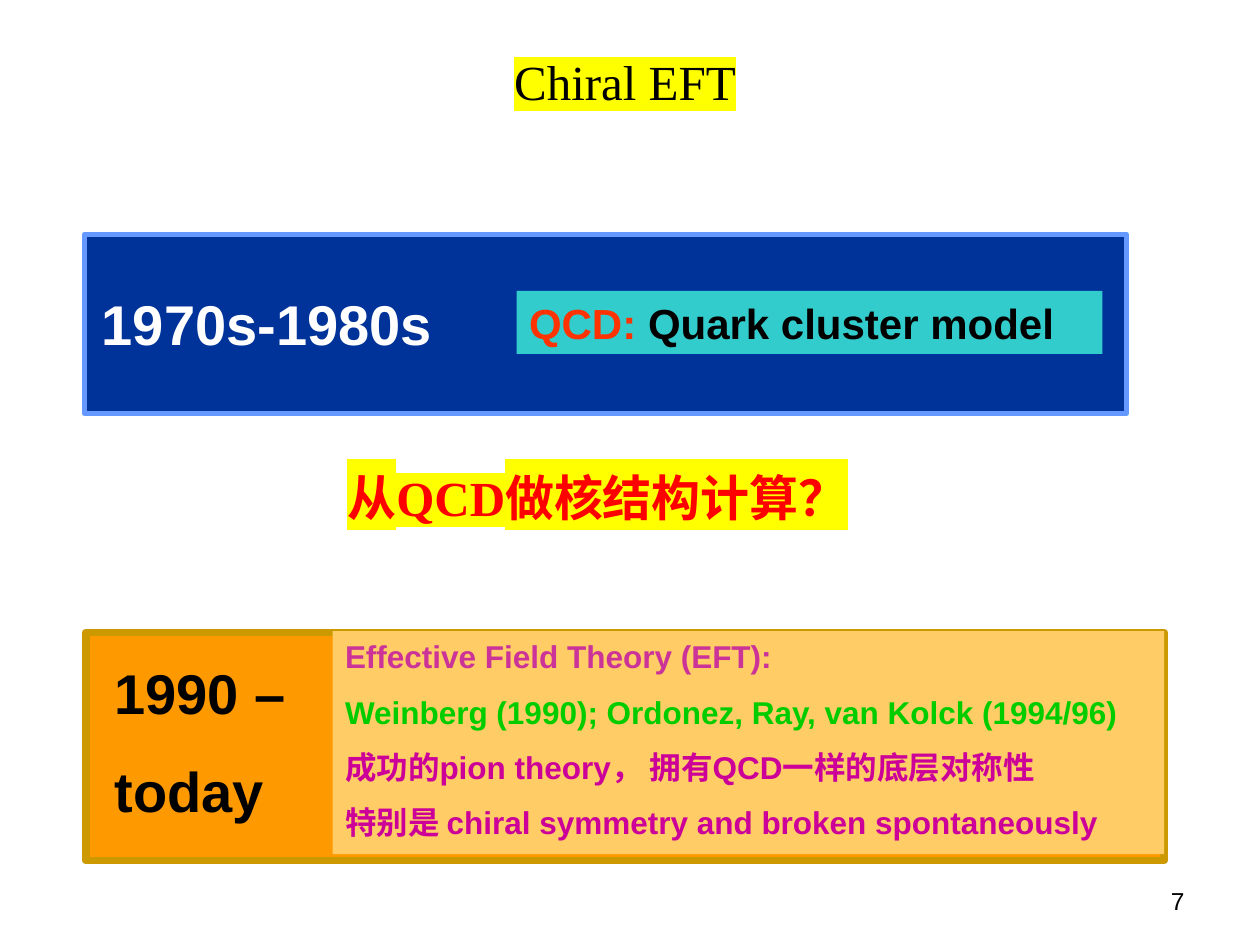
from dataclasses import dataclass
from typing import Optional

from lxml.etree import SubElement
from pptx import Presentation
from pptx.dml.color import RGBColor
from pptx.enum.shapes import MSO_SHAPE
from pptx.enum.text import MSO_ANCHOR, PP_ALIGN
from pptx.oxml.ns import qn
from pptx.util import Inches, Pt

BLACK = RGBColor(0x00, 0x00, 0x00)
WHITE = RGBColor(0xFF, 0xFF, 0xFF)
NAVY = RGBColor(0x00, 0x33, 0x99)
SKY = RGBColor(0x66, 0x99, 0xFF)
TEAL = RGBColor(0x33, 0xCC, 0xCC)
VERMILION = RGBColor(0xFF, 0x33, 0x00)
ORANGE = RGBColor(0xFF, 0x99, 0x00)
OCHRE = RGBColor(0xCC, 0x99, 0x00)
PEACH = RGBColor(0xFF, 0xCC, 0x66)
PINK = RGBColor(0xCC, 0x33, 0x99)
GREEN = RGBColor(0x00, 0xCC, 0x00)
MAGENTA = RGBColor(0xCC, 0x00, 0x99)
RED = RGBColor(0xFF, 0x00, 0x00)
YELLOW = RGBColor(0xFF, 0xFF, 0x00)

SERIF = "Times New Roman"
SPACE_RATIO = 0.55  # paragraph gap relative to the font size


@dataclass(frozen=True)
class Box:
    left: float
    top: float
    width: float
    height: float

    def lengths(self) -> tuple:
        return tuple(map(Inches, (self.left, self.top, self.width, self.height)))


@dataclass(frozen=True)
class Span:
    text: str
    color: RGBColor = BLACK


def add_panel(slide, box: Box, fill: RGBColor,
              border: Optional[RGBColor] = None, border_width: float = 0):
    panel = slide.shapes.add_shape(MSO_SHAPE.RECTANGLE, *box.lengths())
    panel.shadow.inherit = False
    panel.fill.solid()
    panel.fill.fore_color.rgb = fill
    if border is None:
        panel.line.fill.background()
    else:
        panel.line.color.rgb = border
        panel.line.width = Pt(border_width)
    return panel


def add_label(slide, box: Box):
    return slide.shapes.add_textbox(*box.lengths())


def highlight(font, color: RGBColor) -> None:
    fill = font._element.find(qn("a:solidFill"))
    marker = font._element.makeelement(qn("a:highlight"), {})
    SubElement(marker, qn("a:srgbClr"), val=str(color))
    fill.addnext(marker)


def write(shape, lines: list[list[Span]], *, size: float, font: str = "Arial",
          bold: bool = True, align=PP_ALIGN.LEFT, anchor=MSO_ANCHOR.TOP,
          marker: Optional[RGBColor] = None) -> None:
    frame = shape.text_frame
    frame.word_wrap = True
    frame.vertical_anchor = anchor
    for index, spans in enumerate(lines):
        paragraph = frame.add_paragraph() if index else frame.paragraphs[0]
        paragraph.alignment = align
        if index:
            paragraph.space_before = Pt(round(size * SPACE_RATIO, 1))
        for span in spans:
            run = paragraph.add_run()
            run.text = span.text
            run.font.size = Pt(size)
            run.font.bold = bold
            run.font.color.rgb = span.color
            run.font.name = font
            if marker is not None:
                highlight(run.font, marker)


def main() -> None:
    prs = Presentation()
    prs.slide_width, prs.slide_height = Inches(10), Inches(7.5)
    slide = prs.slides.add_slide(prs.slide_layouts[6])

    # Page number
    page_number = add_label(slide, Box(7.17, 6.95, 2.33, 0.4))
    write(page_number, [[Span("7")]], size=14, bold=False,
          align=PP_ALIGN.RIGHT, anchor=MSO_ANCHOR.MIDDLE)

    # 1970s-1980s: quark cluster model
    add_panel(slide, Box(0.67, 1.86, 8.27, 1.42), NAVY, SKY, 3)
    early_period = add_label(slide, Box(0.71, 2.25, 3.24, 0.64))
    write(early_period, [[Span("1970s-1980s", WHITE)]], size=32)
    quark_model = add_panel(slide, Box(4.1, 2.31, 4.65, 0.5), TEAL)
    write(quark_model, [[Span("QCD: ", VERMILION), Span("Quark cluster model")]],
          size=24)

    # 1990 to today: effective field theory
    add_panel(slide, Box(0.68, 5.02, 8.56, 1.81), ORANGE, OCHRE, 4.5)
    recent_period = add_label(slide, Box(0.81, 5.18, 2, 1.45))
    write(recent_period, [[Span("1990 –")], [Span("today")]], size=32)
    field_theory = add_panel(slide, Box(2.64, 5.01, 6.6, 1.77), PEACH)
    write(field_theory, [
        [Span("Effective Field Theory (EFT):", PINK)],
        [Span("Weinberg (1990); Ordonez, Ray, van Kolck (1994/96)", GREEN)],
        [Span("成功的pion theory， 拥有QCD一样的底层对称性", MAGENTA)],
        [Span("特别是 chiral symmetry and broken spontaneously", MAGENTA)],
    ], size=18)

    # Title and central question
    title = add_label(slide, Box(1.22, 0.36, 7.48, 0.57))
    write(title, [[Span("Chiral EFT")]], size=28, font=SERIF, bold=False,
          align=PP_ALIGN.CENTER, marker=YELLOW)
    question = add_label(slide, Box(2.66, 3.66, 5.04, 0.57))
    write(question, [[Span("从QCD做核结构计算？", RED)]], size=28, font=SERIF,
          marker=YELLOW)

    prs.save("out.pptx")


if __name__ == "__main__":
    main()
